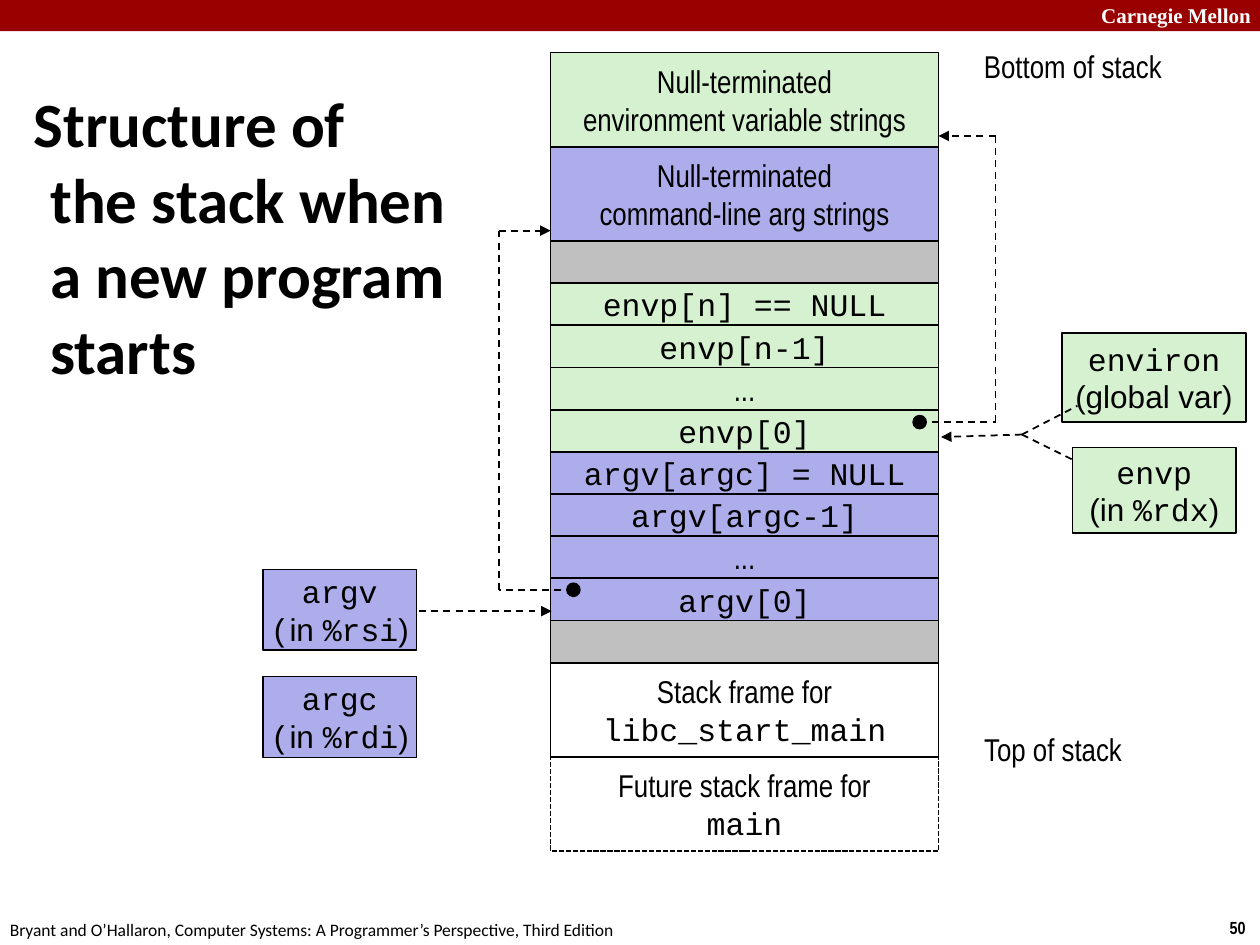
from pptx import Presentation
from pptx.dml.color import RGBColor
from pptx.enum.dml import MSO_LINE
from pptx.enum.shapes import MSO_CONNECTOR, MSO_SHAPE
from pptx.enum.text import MSO_ANCHOR, MSO_AUTO_SIZE, PP_ALIGN
from pptx.oxml.ns import qn
from pptx.util import Cm, Pt
from lxml import etree

RECTANGLE, OVAL = MSO_SHAPE.RECTANGLE, MSO_SHAPE.OVAL
STRAIGHT = MSO_CONNECTOR.STRAIGHT
DASH, SHORT_DASH = MSO_LINE.DASH, MSO_LINE.SQUARE_DOT
MIDDLE, TOP = MSO_ANCHOR.MIDDLE, MSO_ANCHOR.TOP
LEFT, CENTER = PP_ALIGN.LEFT, PP_ALIGN.CENTER
NO_AUTOFIT = MSO_AUTO_SIZE.NONE

BLACK = RGBColor(0x00, 0x00, 0x00)
WHITE = RGBColor(0xFF, 0xFF, 0xFF)
RED = RGBColor(0x99, 0x00, 0x00)
ENV_GREEN = RGBColor(0xD5, 0xF1, 0xCF)
ARG_BLUE = RGBColor(0xAD, 0xAD, 0xEB)
GAP_GRAY = RGBColor(0xC0, 0xC0, 0xC0)

NARROW, CODE, SANS = "Arial Narrow", "Courier New", "Arial"
BODY, SERIF = "Calibri", "Times New Roman"
SLOT, FRAME = 0.85, 1.9

STACK_ROWS = [
    (FRAME, ENV_GREEN, [[("Null-terminated", NARROW)], [("environment variable strings", NARROW)]]),
    (FRAME, ARG_BLUE, [[("Null-terminated", NARROW)], [("command-line arg strings", NARROW)]]),
    (SLOT, GAP_GRAY, []),
    (SLOT, ENV_GREEN, [[("envp[n] == NULL", CODE)]]),
    (SLOT, ENV_GREEN, [[("envp[n-1]", CODE)]]),
    (SLOT, ENV_GREEN, [[("...", NARROW)]]),
    (SLOT, ENV_GREEN, [[("envp[0]", CODE)]]),
    (SLOT, ARG_BLUE, [[("argv[argc] = NULL", CODE)]]),
    (SLOT, ARG_BLUE, [[("argv[argc-1]", CODE)]]),
    (SLOT, ARG_BLUE, [[("...", NARROW)]]),
    (SLOT, ARG_BLUE, [[("argv[0]", CODE)]]),
    (SLOT, GAP_GRAY, []),
    (FRAME, None, [[("Stack frame for", NARROW)], [("libc_start_main", CODE)]]),
    (FRAME, None, [[("Future stack frame for", NARROW)], [("main", CODE)]]),
]


def apply_format(target, values):
    """Set each attribute of target from a dict of values."""
    for attribute, value in values.items():
        setattr(target, attribute, value)


def write_lines(frame, lines, size=18, color=BLACK, bold=False, align=CENTER, anchor=MIDDLE):
    """Fill a text frame with lines made of (text, font) runs."""
    apply_format(frame, {"word_wrap": False, "vertical_anchor": anchor})
    for index, runs in enumerate(lines):
        paragraph = frame.add_paragraph() if index else frame.paragraphs[0]
        paragraph.alignment = align
        for text, font in runs:
            run = paragraph.add_run()
            run.text = text
            apply_format(run.font, {"name": font, "size": Pt(size), "bold": bold})
            run.font.color.rgb = color


def add_label(slide, box, text, font, **style):
    """Add a one-line text box."""
    label = slide.shapes.add_textbox(*map(Cm, box))
    write_lines(label.text_frame, [[(text, font)]], **style)


def add_block(slide, box, fill, lines=(), kind=RECTANGLE, outline=BLACK):
    """Add an outlined shape with optional fill and text."""
    block = slide.shapes.add_shape(kind, *map(Cm, box))
    block.shadow.inherit = False
    if fill is None:
        block.fill.background()
    else:
        block.fill.solid()
        block.fill.fore_color.rgb = fill
    block.line.color.rgb = outline
    block.line.width = Pt(1)
    write_lines(block.text_frame, lines)
    return block


def add_dashed_line(slide, start, end, arrow=False):
    """Add a dashed connector, with an arrowhead at its end if asked."""
    connector = slide.shapes.add_connector(STRAIGHT, *map(Cm, start + end))
    apply_format(connector.line, {"width": Pt(1), "dash_style": DASH})
    connector.line.color.rgb = BLACK
    if arrow:
        etree.SubElement(connector.line._ln, qn("a:tailEnd"), type="triangle")
    etree.SubElement(connector._element.spPr, qn("a:effectLst"))


def draw_page_frame(slide, width, height):
    """Draw the header band, footer and page number."""
    add_block(slide, (0, 0, width, 0.63), RED, outline=RED).line.fill.background()
    add_label(slide, (width - 3.45, -0.08, 3.63, 0.76), "Carnegie Mellon", SERIF,
              size=12, color=WHITE, bold=True, align=LEFT, anchor=TOP)
    add_label(slide, (width - 0.86, height - 0.69, 0.86, 0.69), "50", NARROW,
              size=10, bold=True, align=LEFT, anchor=TOP)
    add_label(slide, (-0.05, height - 0.64, 12.9, 0.69),
              "Bryant and O’Hallaron, Computer Systems: A Programmer’s Perspective, Third Edition",
              BODY, size=10, align=LEFT, anchor=TOP)


def place_title(slide, left, top, width, height):
    """Place the title with a hanging indent."""
    title = slide.shapes.title
    apply_format(title, {"left": Cm(left), "top": Cm(top), "width": Cm(width), "height": Cm(height)})
    frame = title.text_frame
    frame.text = "Structure of\vthe stack when a new program starts"
    apply_format(frame, {"word_wrap": True, "auto_size": NO_AUTOFIT, "vertical_anchor": MIDDLE})
    paragraph = frame.paragraphs[0]
    paragraph.alignment = LEFT
    properties = paragraph._p.get_or_add_pPr()
    properties.set("marL", str(Cm(0.33)))
    properties.set("indent", str(Cm(-0.33)))
    for run in paragraph.runs:
        apply_format(run.font, {"name": BODY, "size": Pt(36), "bold": True})
        run.font.color.rgb = BLACK


def draw_stack(slide, left, top, width):
    """Draw the stack rows from bottom of stack to future frame, with end labels."""
    row_top = top
    for height, fill, lines in STACK_ROWS:
        row = add_block(slide, (left, row_top, width, height), fill, lines)
        row_top += height
    row.line.dash_style = SHORT_DASH
    right = left + width
    add_label(slide, (right + 0.64, top - 0.25, 4.14, 1.02), "Bottom of stack", NARROW)
    add_label(slide, (right + 0.61, row_top - 2.57, 3.4, 1.02), "Top of stack", NARROW)


def draw_string_loop(slide, edge, top, dot_offset, loop_offset, slot_y, string_y):
    """Draw a dotted start in a slot that loops round to its string block."""
    dot = edge + dot_offset, top + slot_y
    loop_x = edge + loop_offset
    near_slot, near_string = (loop_x, top + slot_y), (loop_x, top + string_y)
    add_dashed_line(slide, dot, near_slot)
    add_dashed_line(slide, near_slot, near_string)
    add_dashed_line(slide, near_string, (edge, top + string_y), arrow=True)
    add_block(slide, (dot[0] - 0.13, dot[1] - 0.13, 0.26, 0.26), BLACK, kind=OVAL)


def draw_env_pointers(slide, left, top):
    """Draw environ and envp with their joint arrow to envp[0]."""
    fork = left + 1.68, top + 2.05
    add_block(slide, (left + 2.49, top, 3.71, 1.8), ENV_GREEN,
              [[("environ", CODE)], [("(global var)", SANS)]])
    add_dashed_line(slide, fork, (left + 2.8, top + 1.47))
    add_dashed_line(slide, fork, (left + 2.77, top + 2.59))
    add_dashed_line(slide, fork, (left + 0.05, top + 2.1), arrow=True)
    add_block(slide, (left + 2.7, top + 2.31, 3.3, 1.73), ENV_GREEN,
              [[("envp", CODE)], [("(in ", SANS), ("%rdx", CODE), (")", SANS)]])


def draw_arg_registers(slide, left, top):
    """Draw argv and argc with the arrow from argv to argv[0]."""
    for index, (name, register) in enumerate([("argv", "%rsi"), ("argc", "%rdi")]):
        add_block(slide, (left, top + index * 2.16, 3.1, 1.63), ARG_BLUE,
                  [[(name, CODE)], [("(", CODE), ("in ", SANS), (register, CODE), (")", SANS)]])
    add_dashed_line(slide, (left + 3.15, top + 0.84), (left + 5.82, top + 0.84), arrow=True)


def main():
    """Build and save the slide."""
    deck = Presentation()
    width, height = 25.4, 19.05
    apply_format(deck, {"slide_width": Cm(width), "slide_height": Cm(height)})
    slide = deck.slides.add_slide(deck.slide_layouts[5])
    stack_left, stack_top, stack_width = 11.1, 1.06, 7.82
    stack_right = stack_left + stack_width
    draw_page_frame(slide, width, height)
    place_title(slide, 0.43, 2.11, 9.07, 5.28)
    draw_stack(slide, stack_left, stack_top, stack_width)
    draw_string_loop(slide, stack_left, stack_top, 0.46, -1.04, 10.83, 3.59)
    draw_string_loop(slide, stack_right, stack_top, -0.38, 1.15, 7.45, 1.68)
    draw_env_pointers(slide, stack_right, 6.71)
    draw_arg_registers(slide, 5.3, 11.48)
    deck.save("out.pptx")


if __name__ == "__main__":
    main()
